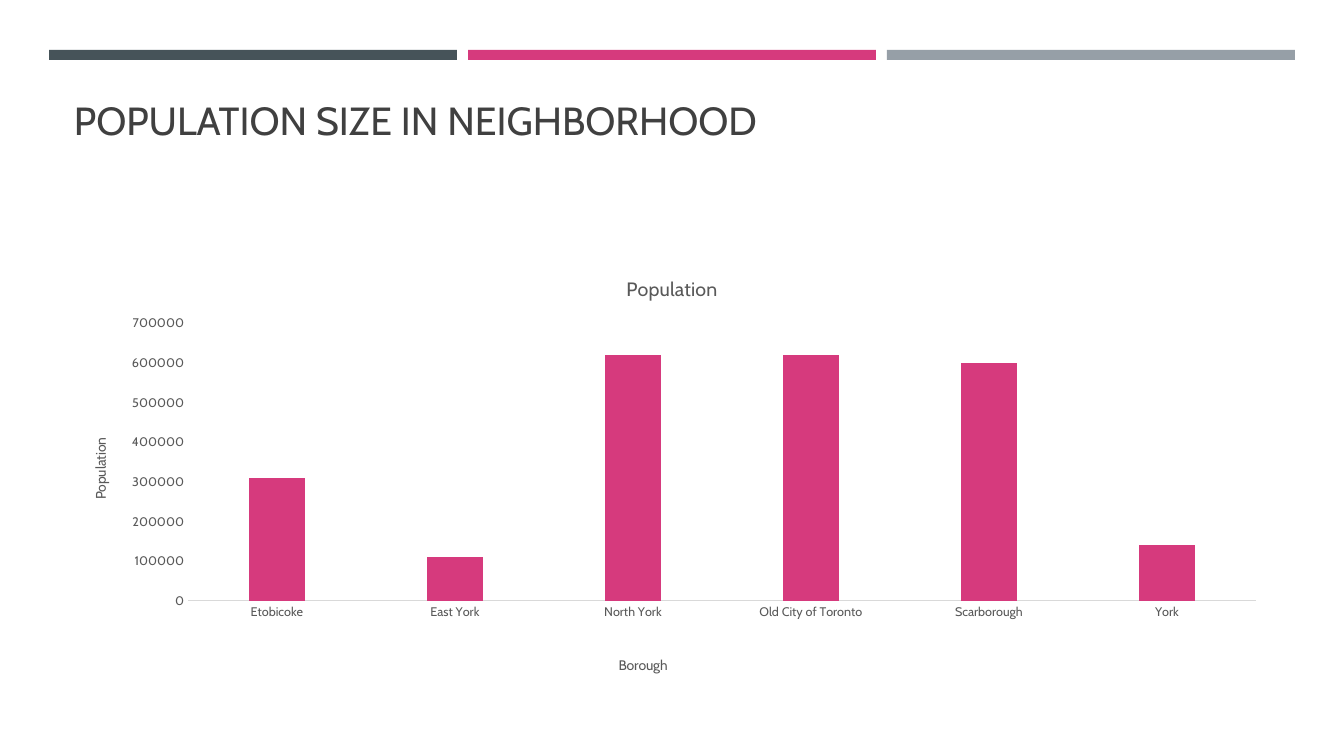
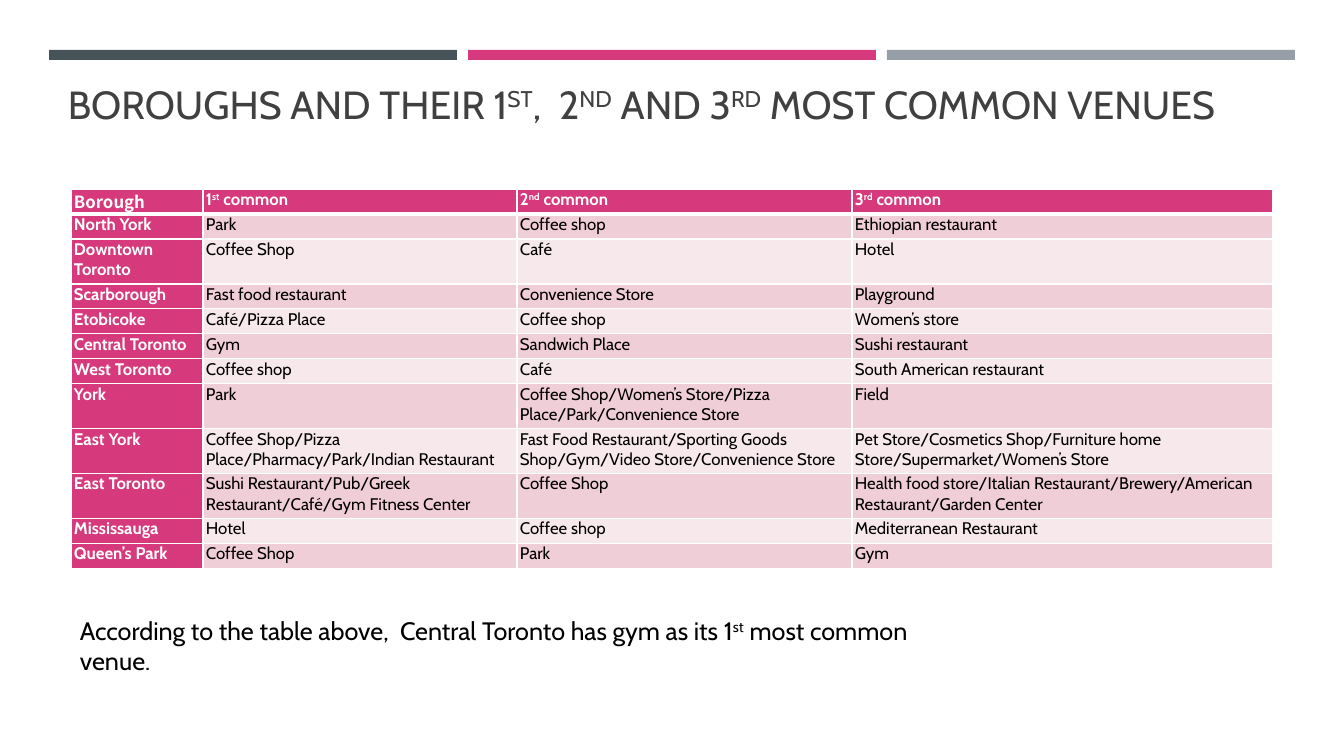
from lxml import etree
from pptx import Presentation
from pptx.chart import data as chart_data
from pptx.dml import color
from pptx.enum import chart as chart_enum, shapes, text
from pptx.oxml import ns
from pptx.util import Emu, Pt

# Text between carets is superscript.
TITLES = ["POPULATION SIZE IN NEIGHBORHOOD",
          "BOROUGHS AND THEIR 1^ST^,  2^ND^ AND 3^RD^ MOST COMMON VENUES"]
POPULATION = {"Etobicoke": 310000, "East York": 110000, "North York": 620000,
              "Old City of Toronto": 620000, "Scarborough": 600000, "York": 140000}
VENUES = [
    ("Borough", "1^st^ common", "2^nd^ common", "3^rd^ common"),
    ("North York", "Park", "Coffee shop", "Ethiopian restaurant"),
    ("Downtown Toronto", "Coffee Shop", "Café", "Hotel"),
    ("Scarborough", "Fast food restaurant", "Convenience Store", "Playground"),
    ("Etobicoke", "Café/Pizza Place", "Coffee shop", "Women’s store"),
    ("Central Toronto", "Gym", "Sandwich Place", "Sushi restaurant"),
    ("West Toronto", "Coffee shop", "Café", "South American restaurant"),
    ("York", "Park", "Coffee Shop/Women’s Store/Pizza Place/Park/Convenience Store", "Field"),
    ("East York", "Coffee Shop/Pizza Place/Pharmacy/Park/Indian Restaurant",
     "Fast Food Restaurant/Sporting Goods Shop/Gym/Video Store/Convenience Store",
     "Pet Store/Cosmetics Shop/Furniture home Store/Supermarket/Women’s Store"),
    ("East Toronto", "Sushi Restaurant/Pub/Greek Restaurant/Café/Gym Fitness Center",
     "Coffee Shop",
     "Health food store/Italian Restaurant/Brewery/American Restaurant/Garden Center"),
    ("Mississauga", "Hotel", "Coffee shop", "Mediterranean Restaurant"),
    ("Queen’s Park", "Coffee Shop", "Park", "Gym"),
]
REMARK = "According to the table above,  Central Toronto has gym as its 1^st^ most common venue."

FONT, HEADER_FONT = "Cabin", "Noto Sans CJK SC"
SLATE, PINK, GREY, WHITE, BLACK = "465359", "D63A7D", "969FA7", "FFFFFF", "000000"
TITLE_INK, CHART_INK, AXIS_LINE = "404040", "595959", "D9D9D9"
ROW_TINTS = ["F7E8EC", "F0CED7"]
BAND_WIDTH, BAND_GAP = 408, 11
COLUMN_WIDTHS = [132, 314, 335, 421]
ROW_HEIGHT, TALL_ROW_HEIGHT = 25, 45
TALL_ROWS = {"Downtown Toronto", "York", "East York", "East Toronto"}
CHART_BOX = (64, 258, 1216, 420)


def px(*lengths):
    """Turn pixel lengths into EMU."""
    return [Emu(round(length * 914400 / 100.8)) for length in lengths]


def rgb(value):
    """Turn a hex string into a colour."""
    return color.RGBColor.from_string(value)


def style(font, size, ink, bold=False, face=FONT):
    """Set the look of a font."""
    font.name, font.size, font.bold = face, Pt(size), bold
    font.color.rgb = rgb(ink)


def write(frame, content, anchor=text.MSO_ANCHOR.TOP, **look):
    """Fill a text frame, raising the parts between carets."""
    frame.word_wrap = True
    frame.vertical_anchor = anchor
    para = frame.paragraphs[0]
    for index, part in enumerate(content.split("^")):
        span = para.add_run()
        span.text = part
        style(span.font, **look)
        if index % 2:
            span._r.get_or_add_rPr().set("baseline", "30000")


def add_text(page, area, content, **look):
    """Add a text box."""
    write(page.shapes.add_textbox(*px(*area)).text_frame, content, **look)


def add_page(deck, title, area, anchor):
    """Add a slide with the three bands and a title."""
    page = deck.slides.add_slide(deck.slide_layouts[6])
    for index, fill in enumerate([SLATE, PINK, GREY]):
        left = 49 + index * (BAND_WIDTH + BAND_GAP)
        band = page.shapes.add_shape(shapes.MSO_SHAPE.RECTANGLE, *px(left, 50, BAND_WIDTH, 10))
        band.shadow.inherit = False
        band.fill.solid()
        band.fill.fore_color.rgb = rgb(fill)
        band.line.fill.background()
    add_text(page, area, title, anchor=anchor, size=28, ink=TITLE_INK)
    return page


def place(parent, index, left, top, width=None, height=None):
    """Give a chart part a fixed place, in pixels of the slide."""
    for old in parent.findall(ns.qn("c:layout")):
        parent.remove(old)
    layout = etree.Element(ns.qn("c:layout"))
    manual = etree.SubElement(layout, ns.qn("c:manualLayout"))
    box_left, box_top, box_width, box_height = CHART_BOX
    values = [("xMode", "edge"), ("yMode", "edge"),
              ("x", (left - box_left) / box_width), ("y", (top - box_top) / box_height)]
    if width:
        values.insert(0, ("layoutTarget", "inner"))
        values += [("w", width / box_width), ("h", height / box_height)]
    for name, value in values:
        etree.SubElement(manual, ns.qn("c:" + name)).set("val", str(value))
    parent.insert(index, layout)


def add_axis_title(axis, content, left, top, turn=0):
    """Style an axis and set its title at a fixed place."""
    style(axis.tick_labels.font, 9, CHART_INK)
    axis.major_tick_mark = chart_enum.XL_TICK_MARK.NONE
    axis.has_major_gridlines = False
    title = axis.axis_title
    write(title.text_frame, content, size=10, ink=CHART_INK)
    title.text_frame._txBody.bodyPr.set("rot", str(turn * 60000))
    place(title._element, 1, left, top)


def add_population_chart(page):
    """Add the column chart of population by borough."""
    data = chart_data.CategoryChartData()
    data.categories = list(POPULATION)
    data.add_series("Population", list(POPULATION.values()))
    chart = page.shapes.add_chart(chart_enum.XL_CHART_TYPE.COLUMN_CLUSTERED,
                                  *px(*CHART_BOX), data).chart
    style(chart.font, 10, BLACK)
    chart.has_legend = False
    chart.has_title = True
    write(chart.chart_title.text_frame, "Population", size=14, ink=CHART_INK)
    chart.chart_title.include_in_layout = False
    plot = chart.plots[0]
    plot.gap_width, plot.overlap, plot.vary_by_categories = 219, -27, False
    fill = plot.series[0].format.fill
    fill.solid()
    fill.fore_color.rgb = rgb(PINK)
    boroughs, people = chart.category_axis, chart.value_axis
    add_axis_title(boroughs, "Borough", 616, 658)
    add_axis_title(people, "Population", 88, 438, turn=-90)
    boroughs.format.line.color.rgb = rgb(AXIS_LINE)
    boroughs.format.line.width = Pt(0.75)
    people.format.line.fill.background()
    people.minimum_scale, people.maximum_scale, people.major_unit = 0, 700000, 100000
    place(chart._chartSpace.chart.plotArea, 0, 188, 324, 1068, 281)


def add_borders(cell, **widths):
    """Draw white cell borders, widths in points by side."""
    for index, side in enumerate("LRTB"):
        line = etree.Element(ns.qn("a:ln" + side), w=str(Pt(widths.get(side, 1))))
        solid = etree.SubElement(line, ns.qn("a:solidFill"))
        etree.SubElement(solid, ns.qn("a:srgbClr"), val=WHITE)
        cell._tc.get_or_add_tcPr().insert(index, line)


def add_venue_table(page):
    """Add the table of common venues."""
    heights = [TALL_ROW_HEIGHT if row[0] in TALL_ROWS else ROW_HEIGHT for row in VENUES]
    area = px(71, 189, sum(COLUMN_WIDTHS), sum(heights))
    table = page.shapes.add_table(len(VENUES), len(COLUMN_WIDTHS), *area).table
    table.horz_banding = False
    for column, width in zip(table.columns, px(*COLUMN_WIDTHS)):
        column.width = width
    for row, height in zip(table.rows, px(*heights)):
        row.height = height
    for r, row in enumerate(VENUES):
        for c, content in enumerate(row):
            cell = table.cell(r, c)
            cell.margin_left, cell.margin_right = px(3, 3)
            cell.margin_top = cell.margin_bottom = 0
            heading = r == 0 or c == 0
            cell.fill.solid()
            cell.fill.fore_color.rgb = rgb(PINK if heading else ROW_TINTS[r % 2])
            write(cell.text_frame, content, size=12, bold=heading,
                  ink=WHITE if heading else BLACK,
                  face=HEADER_FONT if r == c == 0 else FONT)
            add_borders(cell, T=3 if r == 1 else 1, B=3 if r == 0 else 1)


deck = Presentation()
deck.slide_width, deck.slide_height = px(1344, 756)
population_page = add_page(deck, TITLES[0], (64, 78, 1216, 70), text.MSO_ANCHOR.BOTTOM)
add_population_chart(population_page)
venue_page = add_page(deck, TITLES[1], (58, 62, 1200, 84), text.MSO_ANCHOR.MIDDLE)
add_venue_table(venue_page)
add_text(venue_page, (70, 610, 907, 70), REMARK, size=18, ink=BLACK)
deck.save("out.pptx")
